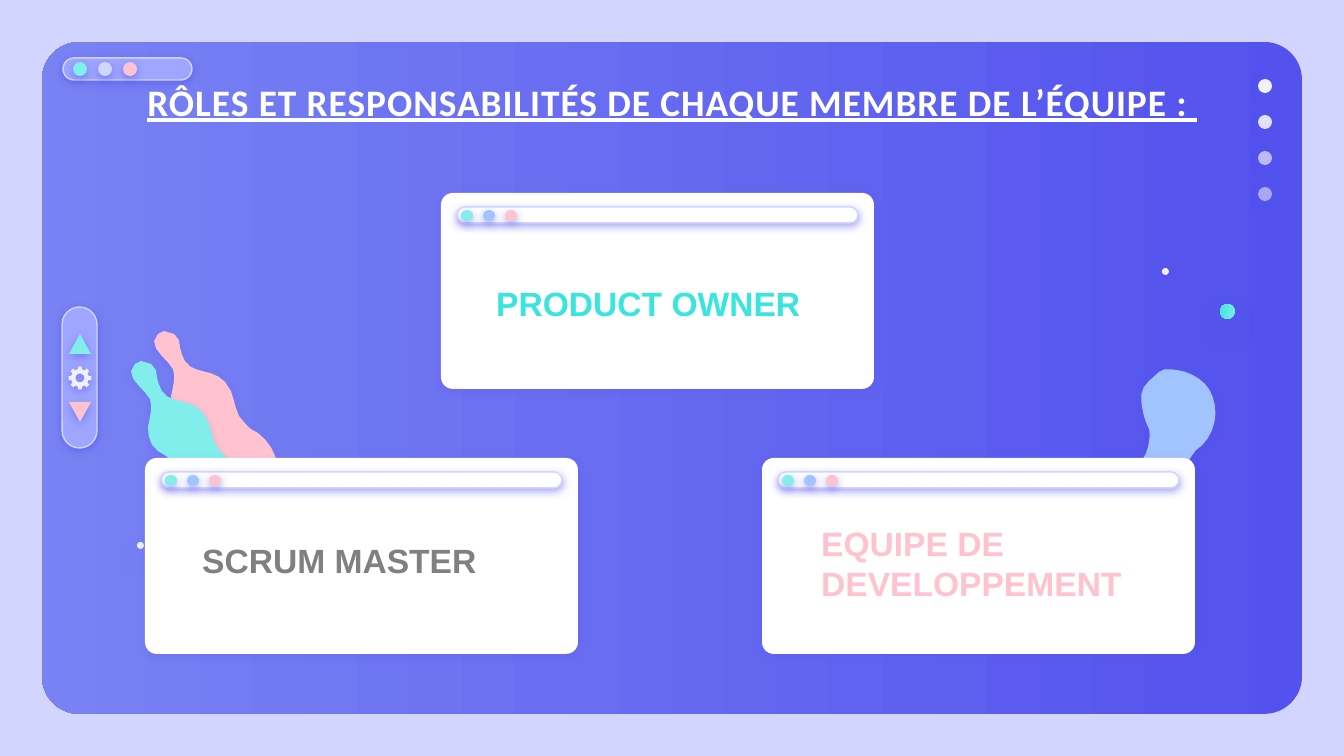
"""Build the slide on the roles and responsibilities of each team member."""
import dataclasses
import math
import typing

import lxml.etree
import pptx
import pptx.dml.color
import pptx.enum.shapes
import pptx.enum.text
import pptx.oxml.ns
import pptx.shapes.autoshape
import pptx.util

Shape = pptx.shapes.autoshape.Shape
Kind = pptx.enum.shapes.MSO_SHAPE
Point = tuple[float, float]
EMU_PER_PX = 914400 / 134.4


@dataclasses.dataclass(frozen=True)
class Theme:
    lavender: str = "D2D6FF"
    indigo: str = "5352EE"
    periwinkle: str = "7882F3"
    pill: str = "9EA6FF"
    mint: str = "81EEEB"
    teal: str = "3AE4DF"
    pink: str = "FFC3D0"
    sky: str = "A1C3FF"
    pale: str = "F1F0FF"
    white: str = "FFFFFF"
    grey: str = "808080"
    title_font: str = "Calibri"
    label_font: str = "Arial"
    title_size: int = 20
    label_size: int = 18
    outline: float = 0.75


THEME = Theme()


class Shadow(typing.NamedTuple):
    alpha: int
    blur: float = 4.5
    distance: float = 1.5


SOFT, CARD, BLOB, FLOAT = Shadow(50), Shadow(19), Shadow(22), Shadow(38, 12.4, 6.8)


class Box(typing.NamedTuple):
    left: int
    top: int
    width: int
    height: int


@dataclasses.dataclass(frozen=True)
class Figure:
    kind: Kind
    box: Box
    fill: str
    fill_end: str = ""
    angle: int = 0
    alpha: int = 100
    outline: str = ""
    shadow: Shadow | None = SOFT
    corner: float | None = None
    rotation: int = 0


@dataclasses.dataclass(frozen=True)
class Blob:
    center: Point
    color: str
    scale: float = 1
    mirror: int = 1
    rotation: float = 0


@dataclasses.dataclass(frozen=True)
class Role:
    card: Point
    label: Box
    text: str
    color: str


BLOB_CENTER = (69, 95)
BLOB_START = (19, 0)
BLOB_CURVES = (
    ((16, 0), (15, 1), (13, 3)), ((0, 15), (23, 28), (28, 38)),
    ((31, 46), (28, 56), (26, 66)), ((26, 75), (28, 85), (36, 90)),
    ((43, 94), (48, 97), (51, 102)), ((56, 110), (59, 120), (59, 128)),
    ((56, 136), (55, 145), (55, 153)), ((55, 159), (55, 168), (60, 174)),
    ((66, 181), (74, 184), (79, 188)), ((81, 190), (82, 190), (85, 190)),
    ((89, 190), (95, 188), (99, 187)), ((112, 183), (125, 173), (130, 161)),
    ((138, 141), (132, 116), (113, 102)), ((108, 99), (102, 97), (99, 91)),
    ((91, 85), (90, 70), (86, 60)), ((74, 34), (50, 46), (40, 30)),
    ((36, 23), (35, 17), (34, 9)), ((31, 5), (28, 0), (23, 0)),
)
BLOBS = (
    Blob((1163, 458), THEME.sky, 0.92, -1, 171.2),
    Blob((214, 426), THEME.pink),
    Blob((191, 456), THEME.mint),
)
ROLES = (
    Role((145, 458), Box(189, 533, 331, 54), "SCRUM MASTER", THEME.grey),
    Role((441, 193), Box(483, 276, 362, 54), "PRODUCT OWNER", THEME.teal),
    Role((762, 458), Box(808, 516, 349, 95), "EQUIPE DE DEVELOPPEMENT", THEME.pink),
)


def emu(px: float) -> int:
    return round(px * EMU_PER_PX)


def rgb(color: str) -> pptx.dml.color.RGBColor:
    return pptx.dml.color.RGBColor.from_string(color)


def add_alpha(color: typing.Any, percent: int) -> None:
    lxml.etree.SubElement(color, pptx.oxml.ns.qn("a:alpha"), val=str(percent * 1000))


def finish(shape: Shape, shadow: Shadow | None, outline: str = "") -> None:
    shape.shadow.inherit = False
    if outline:
        shape.line.color.rgb = rgb(outline)
        shape.line.width = pptx.util.Pt(THEME.outline)
    else:
        shape.line.fill.background()
    if shadow:
        qn = pptx.oxml.ns.qn
        effects = shape.element.spPr.find(qn("a:effectLst"))
        outer = lxml.etree.SubElement(
            effects, qn("a:outerShdw"), blurRad=str(pptx.util.Pt(shadow.blur)),
            dist=str(pptx.util.Pt(shadow.distance)), dir="5400000", algn="bl", rotWithShape="0")
        add_alpha(lxml.etree.SubElement(outer, qn("a:srgbClr"), val=THEME.indigo), shadow.alpha)


def draw_figure(page: typing.Any, figure: Figure) -> None:
    shape = page.shapes.add_shape(figure.kind, *map(emu, figure.box))
    shape.rotation = figure.rotation
    if figure.corner is not None:
        shape.adjustments[0] = figure.corner
    if figure.fill_end:
        shape.fill.gradient()
        shape.fill.gradient_angle = figure.angle
        for stop, color in zip(shape.fill.gradient_stops, (figure.fill, figure.fill_end)):
            stop.color.rgb = rgb(color)
    else:
        shape.fill.solid()
        shape.fill.fore_color.rgb = rgb(figure.fill)
        if figure.alpha < 100:
            add_alpha(next(shape.element.spPr.iter(pptx.oxml.ns.qn("a:srgbClr"))), figure.alpha)
    finish(shape, figure.shadow, figure.outline)


def draw_outline(page: typing.Any, contours: list[list[Point]], color: str, shadow: Shadow) -> None:
    first, *others = [[(emu(x), emu(y)) for x, y in contour] for contour in contours]
    builder = page.shapes.build_freeform(*first[0])
    builder.add_line_segments(first[1:])
    for contour in others:
        builder.move_to(*contour[0])
        builder.add_line_segments(contour[1:])
    shape = builder.convert_to_shape()
    shape.fill.solid()
    shape.fill.fore_color.rgb = rgb(color)
    finish(shape, shadow)


def polar(center: Point, radius: float, degrees: float) -> Point:
    turn = math.radians(degrees)
    return center[0] + radius * math.cos(turn), center[1] + radius * math.sin(turn)


def blob_points(blob: Blob) -> list[Point]:
    points, start = [], BLOB_START
    for curve in BLOB_CURVES:
        steps = 1 + int(math.dist(start, curve[-1]) // 9)
        for step in range(steps):
            t = step / steps
            weights = ((1 - t) ** 3, 3 * t * (1 - t) ** 2, 3 * t * t * (1 - t), t ** 3)
            x, y = (sum(w * p[axis] for w, p in zip(weights, (start, *curve))) - BLOB_CENTER[axis]
                    for axis in (0, 1))
            direction = math.degrees(math.atan2(y, x * blob.mirror)) + blob.rotation
            points.append(polar(blob.center, math.hypot(x, y) * blob.scale, direction))
        start = curve[-1]
    return points


def draw_dots(page: typing.Any, first: Box, step: int, colors: tuple[str, ...]) -> None:
    for index, color in enumerate(colors):
        box = first._replace(left=first.left + index * step)
        draw_figure(page, Figure(Kind.OVAL, box, color))


def draw_card(page: typing.Any, role: Role) -> None:
    left, top = role.card
    rounded = Kind.ROUNDED_RECTANGLE
    draw_figure(page, Figure(rounded, Box(left, top, 433, 196), THEME.white, shadow=CARD, corner=0.06))
    draw_figure(page, Figure(rounded, Box(left + 16, top + 14, 401, 16), THEME.white,
                             outline=THEME.lavender, corner=0.5))
    draw_dots(page, Box(left + 20, top + 17, 12, 11), 22, (THEME.mint, THEME.sky, THEME.pink))


def draw_text(page: typing.Any, box: Box, text: str, color: str, font: dict, frame: dict,
              align: typing.Any = None) -> typing.Any:
    text_frame = page.shapes.add_textbox(*map(emu, box)).text_frame
    for name, value in {"word_wrap": True, **frame}.items():
        setattr(text_frame, name, value)
    para = text_frame.paragraphs[0]
    para.alignment = align
    span = para.add_run()
    span.text = text
    for name, value in {"bold": True, **font}.items():
        setattr(span.font, name, value)
    span.font.color.rgb = rgb(color)
    return span


def main() -> None:
    deck = pptx.Presentation()
    deck.slide_width, deck.slide_height = emu(1344), emu(756)
    page = deck.slides.add_slide(deck.slide_layouts[6])
    page.background.fill.solid()
    page.background.fill.fore_color.rgb = rgb(THEME.lavender)
    rounded = Kind.ROUNDED_RECTANGLE

    draw_figure(page, Figure(rounded, Box(42, 42, 1260, 672), THEME.indigo, THEME.periwinkle, 180,
                             shadow=None, corner=0.056))
    draw_figure(page, Figure(rounded, Box(63, 58, 129, 22), THEME.pill, outline=THEME.lavender, corner=0.5))
    draw_dots(page, Box(73, 62, 14, 14), 25, (THEME.mint, THEME.lavender, THEME.pink))
    for index, alpha in enumerate((100, 90, 67, 54)):
        draw_figure(page, Figure(Kind.OVAL, Box(1258, 79 + 36 * index, 14, 14), THEME.pale, alpha=alpha))

    for blob in BLOBS:
        draw_outline(page, [blob_points(blob)], blob.color, BLOB)
    draw_figure(page, Figure(Kind.OVAL, Box(1220, 304, 15, 15), THEME.mint, THEME.teal, 225,
                             shadow=FLOAT, rotation=45))
    for left, top in ((1162, 268), (137, 542)):
        draw_figure(page, Figure(Kind.OVAL, Box(left, top, 7, 7), THEME.pale, shadow=FLOAT))

    title = draw_text(
        page, Box(106, 66, 1133, 85), "RÔLES ET RESPONSABILITÉS DE CHAQUE MEMBRE DE L’ÉQUIPE : ", THEME.white,
        {"name": THEME.title_font, "size": pptx.util.Pt(THEME.title_size), "underline": True},
        {f"margin_{side}": emu(13) for side in ("left", "top", "right", "bottom")},
        pptx.enum.text.PP_ALIGN.CENTER)
    title.font._element.set("spc", "50")

    draw_figure(page, Figure(rounded, Box(9, 360, 141, 35), THEME.pill, outline=THEME.lavender,
                             corner=0.5, rotation=90))
    for top, color, rotation in ((334, THEME.mint, 0), (402, THEME.pink, 180)):
        draw_figure(page, Figure(Kind.ISOSCELES_TRIANGLE, Box(69, top, 22, 20), color, rotation=rotation))
    hub = (80, 378)
    teeth = [polar(hub, radius, 45 * tooth + offset) for tooth in range(8)
             for radius, offset in ((9, -12), (11.5, -10), (11.5, 10), (9, 12))]
    hole = [polar(hub, 4.5, -30 * index) for index in range(12)]
    draw_outline(page, [teeth, hole], THEME.pale, SOFT)

    for role in ROLES:
        draw_card(page, role)
    for role in ROLES:
        draw_text(page, role.label, role.text, role.color,
                  {"name": THEME.label_font, "size": pptx.util.Pt(THEME.label_size)},
                  {"auto_size": pptx.enum.text.MSO_AUTO_SIZE.SHAPE_TO_FIT_TEXT})
    deck.save("out.pptx")


if __name__ == "__main__":
    main()
